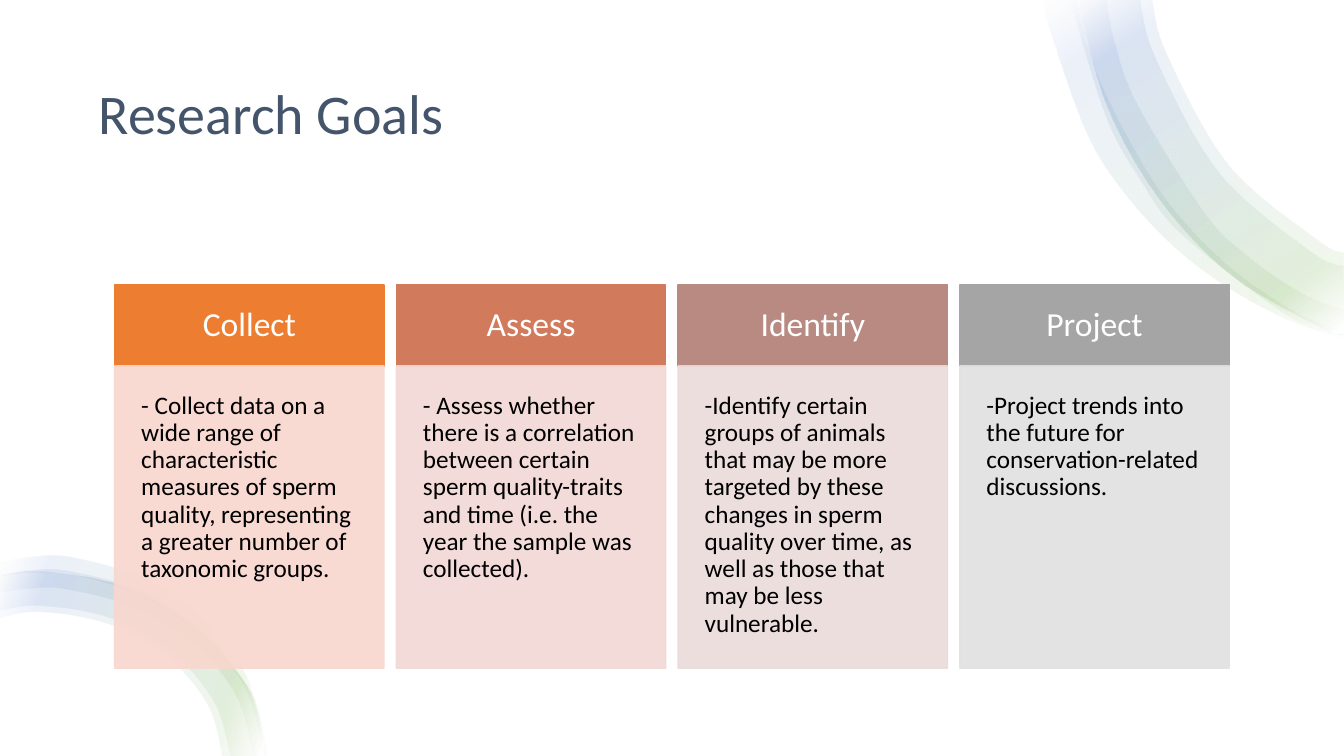
import dataclasses
import pptx
import pptx.util
import pptx.oxml
import pptx.oxml.ns
import pptx.dml.color
import pptx.enum.shapes
import pptx.enum.text

Cm = pptx.util.Cm
Pt = pptx.util.Pt
Align = pptx.enum.text.PP_ALIGN
Anchor = pptx.enum.text.MSO_ANCHOR
qn = pptx.oxml.ns.qn
SPACE = pptx.oxml.ns.nsdecls("a")


@dataclasses.dataclass(frozen=True)
class Theme:
    font: str = "Calibri"
    back: str = "FFFFFF"
    title: str = "44546A"
    head: str = "FFFFFF"
    body: str = "000000"
    title_size: int = 40
    head_size: int = 24
    body_size: int = 18
    fades: tuple = ((2, "FFFFFF"), (16, "70AD47"), (85, "4472C4"), (100, "FFFFFF"))
    fade_alpha: int = 10
    body_alpha: int = 90


THEME = Theme()

GOALS = [
    ("Collect", "ED7D31", "F8D7CE",
     "- Collect data on a wide range of characteristic measures of sperm quality, "
     "representing a greater number of taxonomic groups."),
    ("Assess", "D17B5C", "F1D8D4",
     "- Assess whether there is a correlation between certain sperm quality-traits "
     "and time (i.e. the year the sample was collected)."),
    ("Identify", "B98A82", "E9DBDA",
     "-Identify certain groups of animals that may be more targeted by these changes "
     "in sperm quality over time, as well as those that may be less vulnerable."),
    ("Project", "A5A5A5", "E1E1E1",
     "-Project trends into the future for conservation-related discussions."),
]

TOP_EDGE = [(13.33, 3.32), (13.09, 3.24), (12.23, 2.74), (11.52, 2.0),
            (10.99, 1.07), (10.69, 0)]
LOW_EDGE = [(2.63, 7.5), (2.53, 7.01), (2.36, 6.69), (1.85, 6.16),
            (1.17, 5.8), (0.4, 5.67), (0, 5.72)]

TOP_BANDS = [
    ([(13.33, 3.35), (12.82, 3.19), (12.21, 2.87), (11.65, 2.45), (11.16, 1.92),
      (10.78, 1.31), (10.41, 0.26), (10.37, 0)],
     [(10.69, 0), (10.73, 0.19), (10.93, 0.84), (11.4, 1.73), (11.81, 2.27),
      (12.3, 2.73), (12.86, 3.1), (13.17, 3.23), (13.33, 3.28)]),
    (TOP_EDGE,
     [(11.43, 0), (11.58, 0.55), (12.19, 1.64), (13.07, 2.38), (13.33, 2.51)]),
    ([(13.33, 3.33), (12.79, 3.14), (11.73, 2.33), (11.32, 1.79), (10.99, 1.19),
      (10.68, 0.2), (10.65, 0)],
     [(10.98, 0), (11.07, 0.44), (11.29, 1.04), (11.95, 2.11), (12.39, 2.55),
      (12.9, 2.9), (13.33, 3.08)]),
    (TOP_EDGE,
     [(11.31, 0), (11.47, 0.59), (12.1, 1.72), (13.01, 2.5), (13.33, 2.64)]),
]
LOW_BANDS = [
    (LOW_EDGE,
     [(0, 6.13), (0.4, 6.07), (1.07, 6.19), (1.66, 6.52), (2.06, 7), (2.2, 7.5)]),
    (LOW_EDGE,
     [(0, 6.06), (0.4, 6.01), (1.09, 6.13), (1.7, 6.47), (2.12, 6.97), (2.28, 7.5)]),
    ([(2.63, 7.5), (2.59, 7.19), (2.47, 6.85), (2.03, 6.27), (1.42, 5.87),
      (0.69, 5.67), (0.31, 5.66), (0, 5.71)],
     [(0, 5.88), (0.33, 5.84), (0.67, 5.85), (1.34, 6.03), (1.92, 6.39),
      (2.34, 6.91), (2.51, 7.5)]),
    ([(2.64, 7.5), (2.5, 6.87), (2.33, 6.53), (1.96, 6.09), (1.48, 5.75),
      (0.71, 5.53), (0.31, 5.53), (0, 5.59)],
     [(0, 5.72), (0.32, 5.68), (0.69, 5.7), (1.22, 5.84), (1.71, 6.09),
      (2.25, 6.58), (2.47, 6.93), (2.62, 7.5)]),
]


def apply(item, values):
    for name, value in values.items():
        setattr(item, name, value)


def rgb(code):
    return pptx.dml.color.RGBColor.from_string(code)


def write(shape, text, size, color, align, anchor, pad):
    frame = shape.text_frame
    frame.text = text
    apply(frame, {"word_wrap": True, "vertical_anchor": anchor,
                  "auto_size": pptx.enum.text.MSO_AUTO_SIZE.NONE,
                  "margin_left": pad, "margin_right": pad,
                  "margin_top": pad, "margin_bottom": pad})
    para = frame.paragraphs[0]
    apply(para, {"alignment": align, "line_spacing": 0.9})
    font = para.runs[0].font
    apply(font, {"name": THEME.font, "size": Pt(size)})
    font.color.rgb = rgb(color)


def fade(shape, alpha):
    for tint in shape.fill._xPr.iter(qn("a:srgbClr")):
        tint.append(pptx.oxml.parse_xml(f'<a:alpha {SPACE} val="{alpha * 1000}"/>'))


def add_box(slide, left, top, width, height, color):
    kind = pptx.enum.shapes.MSO_SHAPE.RECTANGLE
    box = slide.shapes.add_shape(kind, left, top, width, height)
    box.shadow.inherit = False
    box.fill.solid()
    box.fill.fore_color.rgb = rgb(color)
    box.line.color.rgb = rgb(color)
    box.line.width = Pt(1)
    return box


def add_back(slide, width, height):
    back = add_box(slide, 0, 0, width, height, THEME.back)
    back.line.fill.background()
    slide.shapes._spTree.insert(2, back._element)


def bends(knots):
    ends = [knots[0], *knots, knots[-1]]
    return [((q[0] + (r[0] - p[0]) / 6, q[1] + (r[1] - p[1]) / 6),
             (r[0] - (s[0] - q[0]) / 6, r[1] - (s[1] - q[1]) / 6), r)
            for p, q, r, s in zip(ends, ends[1:], ends[2:], ends[3:])]


def curve(band, outer, inner):
    lines = list(band._element.iter(qn("a:lnTo")))
    sides = lines[:len(outer) - 1] + lines[len(outer):]
    for line, bend in zip(sides, bends(outer) + bends(inner)):
        spots = "".join(f'<a:pt x="{round(x - band.left)}" y="{round(y - band.top)}"/>'
                        for x, y in bend)
        line.getparent().replace(line, pptx.oxml.parse_xml(
            f'<a:cubicBezTo {SPACE}>{spots}</a:cubicBezTo>'))


def add_band(slide, outer, inner, angle):
    outer, inner = ([(Cm(x * 2.54), Cm(y * 2.54)) for x, y in side]
                    for side in (outer, inner))
    pen = slide.shapes.build_freeform(*outer[0])
    pen.add_line_segments(outer[1:] + inner, close=True)
    band = pen.convert_to_shape()
    curve(band, outer, inner)
    band.shadow.inherit = False
    band.line.fill.background()
    band.fill.gradient()
    stops = "".join(f'<a:gs pos="{pos * 1000}"><a:srgbClr val="{color}"/></a:gs>'
                    for pos, color in THEME.fades)
    paint = pptx.oxml.parse_xml(
        f'<a:gradFill {SPACE} rotWithShape="1"><a:gsLst>{stops}</a:gsLst>'
        f'<a:lin ang="{angle * 60000}" scaled="0"/></a:gradFill>')
    props = band.fill._xPr
    props.replace(props.find(qn("a:gradFill")), paint)
    fade(band, THEME.fade_alpha)


def add_title(slide, text):
    title = slide.shapes.title
    apply(title, {"left": Cm(2.24), "top": Cm(1.27),
                  "width": Cm(29.39), "height": Cm(3.3)})
    write(title, text, THEME.title_size, THEME.title, Align.LEFT,
          Anchor.MIDDLE, Cm(0.25))


def add_goal(slide, left, name, dark, light, text):
    width, top, high = Cm(6.79), Cm(7.18), Cm(2.04)
    head = add_box(slide, left, top, width, high, dark)
    write(head, name, THEME.head_size, THEME.head, Align.CENTER,
          Anchor.MIDDLE, Cm(0.53))
    body = add_box(slide, left, top + high, width, Cm(7.62), light)
    fade(body, THEME.body_alpha)
    write(body, text, THEME.body_size, THEME.body, Align.LEFT,
          Anchor.TOP, Cm(0.67))


def main():
    deck = pptx.Presentation()
    apply(deck, {"slide_width": Cm(33.87), "slide_height": Cm(19.05)})
    slide = deck.slides.add_slide(deck.slide_layouts[5])
    add_back(slide, deck.slide_width, deck.slide_height)
    add_title(slide, "Research Goals")
    for bands, angle in ((TOP_BANDS, 235), (LOW_BANDS, 200)):
        for outer, inner in bands:
            add_band(slide, outer, inner, angle)
    for index, goal in enumerate(GOALS):
        add_goal(slide, Cm(2.89 + 7.1 * index), *goal)
    deck.save("out.pptx")


if __name__ == "__main__":
    main()
